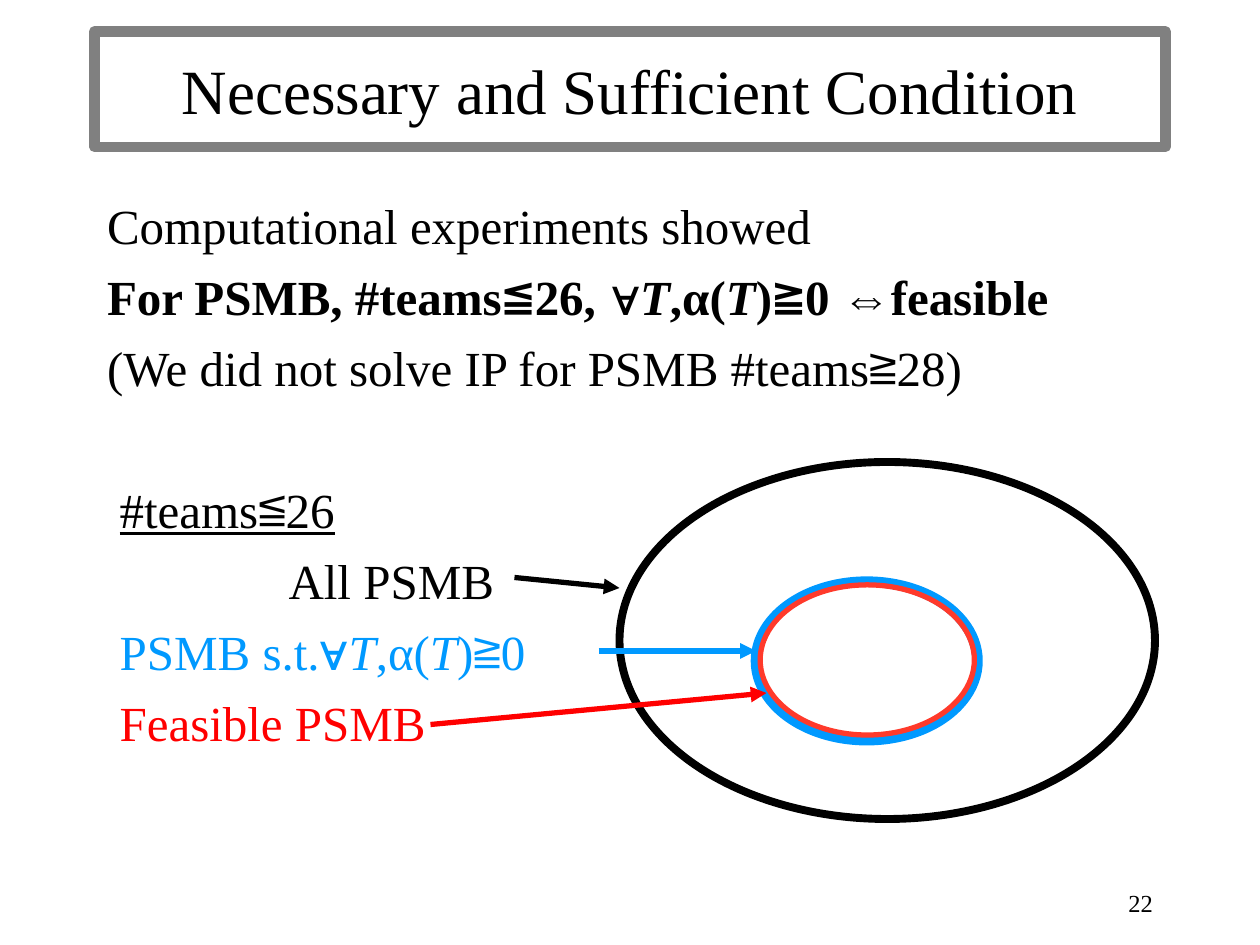
from lxml import etree
from pptx import Presentation
from pptx.dml.color import RGBColor
from pptx.enum.shapes import MSO_CONNECTOR, MSO_SHAPE
from pptx.enum.text import MSO_ANCHOR, MSO_AUTO_SIZE, PP_ALIGN
from pptx.oxml.ns import qn
from pptx.util import Inches, Pt

RECTANGLE, OVAL = MSO_SHAPE.RECTANGLE, MSO_SHAPE.OVAL
STRAIGHT = MSO_CONNECTOR.STRAIGHT
MIDDLE, TOP = MSO_ANCHOR.MIDDLE, MSO_ANCHOR.TOP
CENTER, LEFT, RIGHT = PP_ALIGN.CENTER, PP_ALIGN.LEFT, PP_ALIGN.RIGHT
NO_AUTOFIT = MSO_AUTO_SIZE.NONE

FONT = "Times New Roman"
BLACK, GRAY, BLUE, RED, SOFT_RED = "000000", "808080", "0099FF", "FF0000", "FF3A2B"
LINE_HEIGHT, GAP = 33.6, 7  # points
FORALL_TAB = 4.17  # inches

# Each line: left indent in inches, space before, runs of (text, colour, style)
BODY_LINES = [
    (0, 0, [("Computational experiments showed", BLACK, "")]),
    (0, GAP, [("For PSMB, #teams≦26,\t∀", BLACK, "b"), ("T", BLACK, "bi"),
              (",α(", BLACK, "b"), ("T", BLACK, "bi"), (")≧0 ⇔feasible", BLACK, "b")]),
    (0, GAP, [("(We did not solve IP for PSMB #teams≧28)", BLACK, "")]),
    (0.1, LINE_HEIGHT + 2 * GAP, [("#teams≦26", BLACK, "u")]),
    (1.44, GAP, [("All PSMB", BLACK, "")]),
    (0.1, GAP, [("PSMB s.t.∀", BLUE, ""), ("T", BLUE, "i"), (",α(", BLUE, ""),
                ("T", BLUE, "i"), (")≧0", BLUE, "")]),
    (0.1, GAP, [("Feasible PSMB", RED, "")]),
]


def grid(cells):
    """Twelve grid cells to the inch: the slide has 120 columns and 90 rows."""
    return Inches(cells / 12)


def color(hex_string):
    return RGBColor.from_string(hex_string)


def place(shape, box):
    shape.left, shape.top, shape.width, shape.height = map(grid, box)


def format_run(run, size, hex_string, style=""):
    font = run.font
    font.name, font.size = FONT, Pt(size)
    font.color.rgb = color(hex_string)
    font.bold, font.italic, font.underline = (key in style for key in "biu")


def add_outline(shapes, kind, box, hex_string, weight):
    shape = shapes.add_shape(kind, *map(grid, box))
    shape.shadow.inherit = False
    shape.fill.background()
    shape.line.color.rgb = color(hex_string)
    shape.line.width = Pt(weight)


def add_arrow(slide, start, end, hex_string):
    arrow = slide.shapes.add_connector(STRAIGHT, *map(grid, start + end))
    arrow.line.color.rgb = color(hex_string)
    arrow.line.width = Pt(3)
    etree.SubElement(arrow.line._get_or_add_ln(), qn("a:tailEnd"), type="triangle")
    etree.SubElement(arrow._element.spPr, qn("a:effectLst"))


def set_single_line(shape, text, size, alignment, anchor):
    frame = shape.text_frame
    frame.text = text
    frame.word_wrap, frame.auto_size = True, NO_AUTOFIT
    frame.vertical_anchor = anchor
    paragraph = frame.paragraphs[0]
    paragraph.alignment = alignment
    format_run(paragraph.runs[0], size, BLACK)


def build_title(slide, box):
    add_outline(slide.shapes, RECTANGLE, box, GRAY, 6)
    title = slide.shapes.title
    place(title, box)
    set_single_line(title, "Necessary and Sufficient Condition", 36, CENTER, MIDDLE)


def build_body(slide, box):
    body = slide.placeholders[1]
    place(body, box)
    frame = body.text_frame
    frame.word_wrap, frame.auto_size = True, NO_AUTOFIT
    frame.vertical_anchor = TOP
    for index, (indent, space, runs) in enumerate(BODY_LINES):
        paragraph = frame.add_paragraph() if index else frame.paragraphs[0]
        paragraph.alignment = LEFT
        paragraph.line_spacing = Pt(LINE_HEIGHT)
        paragraph.space_before = Pt(space)
        # Plain lines: no bullet, own indent, one tab stop before the quantifier
        properties = paragraph._p.get_or_add_pPr()
        properties.set("marL", str(Inches(indent)))
        properties.set("indent", "0")
        etree.SubElement(properties, qn("a:buNone"))
        tabs = etree.SubElement(properties, qn("a:tabLst"))
        etree.SubElement(tabs, qn("a:tab"), pos=str(Inches(FORALL_TAB)), algn="l")
        for text, hex_string, style in runs:
            run = paragraph.add_run()
            run.text = text
            format_run(run, 28, hex_string, style)


def build_diagram(slide, box):
    left, top, width, height = box

    def point(column, row):
        return left + column, top + row

    # Nested sets
    add_outline(slide.shapes, OVAL, point(18, 0) + (width - 18, height), BLACK, 4.5)
    inner = slide.shapes.add_group_shape().shapes
    add_outline(inner, OVAL, point(31, 11.4) + (21.1, 15.1), BLUE, 6)
    add_outline(inner, OVAL, point(31.4, 11.7) + (20.4, 14.3), SOFT_RED, 3)
    # Arrows from the labels
    add_arrow(slide, point(8, 11), point(18, 12), BLACK)
    add_arrow(slide, point(16, 18), point(31, 18), BLUE)
    add_arrow(slide, point(0, 25), point(32, 22), RED)


def build_page_number(slide, box):
    number = slide.shapes.add_textbox(*map(grid, box))
    set_single_line(number, "22", 14, RIGHT, TOP)


def main():
    presentation = Presentation()
    presentation.slide_width, presentation.slide_height = grid(120), grid(90)
    slide = presentation.slides.add_slide(presentation.slide_layouts[1])
    build_title(slide, (9, 3, 102, 11))
    build_body(slide, (9, 18, 102, 65))
    build_diagram(slide, (41, 44, 69, 34))
    build_page_number(slide, (105, 84, 6, 4))
    presentation.save("out.pptx")


if __name__ == "__main__":
    main()
